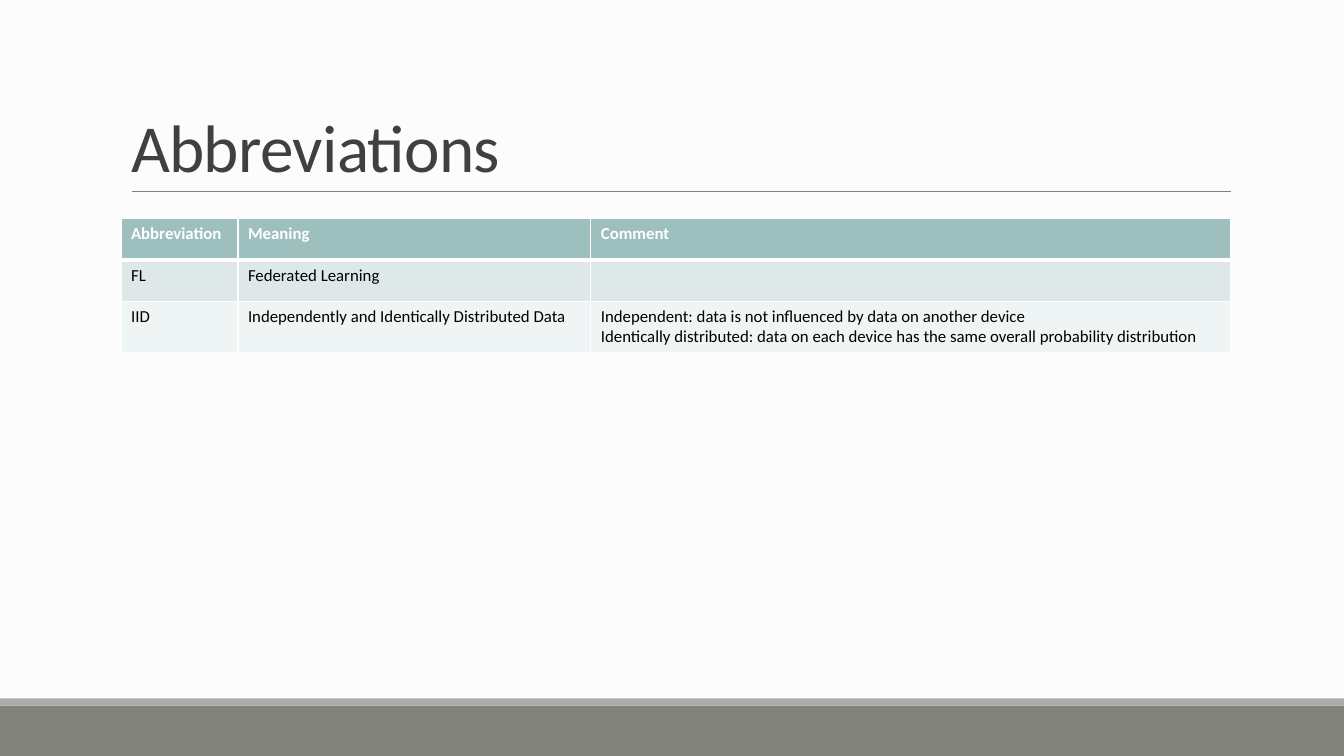
from dataclasses import dataclass

from lxml.etree import SubElement
from pptx import Presentation
from pptx.dml.color import RGBColor
from pptx.enum.shapes import MSO_CONNECTOR, MSO_SHAPE
from pptx.enum.text import MSO_ANCHOR, PP_ALIGN
from pptx.oxml import parse_xml
from pptx.oxml.ns import nsdecls, qn
from pptx.util import Inches, Pt


@dataclass(frozen=True)
class Theme:
    """Colours, font and type sizes of the slide."""
    font: str = "Calibri"
    title_size: float = 48
    table_size: float = 12
    background: str = "FCFCFC"
    band: str = "82847C"
    band_edge: str = "ACADA8"
    rule: str = "808080"
    title: str = "404040"
    header: str = "9DBFBE"
    rows: tuple = ("DFE8E8", "EFF4F4")
    text: str = "000000"
    white: str = "FFFFFF"


THEME = Theme()
COLUMN_WIDTHS = (1.16, 3.5, 6.35)
ROW_HEIGHT = 0.41
ENTRIES = (
    ("Abbreviation", "Meaning", "Comment"),
    ("FL", "Federated Learning", ""),
    ("IID", "Independently and Identically Distributed Data",
     "Independent: data is not influenced by data on another device\n"
     "Identically distributed: data on each device has the same overall probability distribution"),
)


def write_text(frame, text, *, size, color, bold=False, line_spacing=1.0, tracking=None):
    """Write each line of text as a formatted paragraph."""
    for index, line in enumerate(text.split("\n")):
        para = frame.add_paragraph() if index else frame.paragraphs[0]
        para.alignment = PP_ALIGN.LEFT
        para.line_spacing = line_spacing
        if not line:
            continue
        span = para.add_run()
        span.text = line
        span.font.name = THEME.font
        span.font.size = Pt(size)
        span.font.bold = bold
        span.font.color.rgb = RGBColor.from_string(color)
        if tracking is not None:
            span.font._element.set("spc", str(round(tracking * 100)))


def add_band(page, box, color):
    """Draw a plain filled band in the box."""
    band = page.shapes.add_shape(MSO_SHAPE.RECTANGLE, *map(Inches, box))
    band.shadow.inherit = False
    band.fill.solid()
    band.fill.fore_color.rgb = RGBColor.from_string(color)
    band.line.fill.background()


def add_footer(page, box):
    """Place the footer band with its lighter strip along the top."""
    left, top, width, height = box
    edge = 0.07
    add_band(page, (left, top + edge, width, height - edge), THEME.band)
    add_band(page, (left, top, width, edge), THEME.band_edge)


def add_title(page, box, text):
    """Place the title and the rule along the bottom of the box."""
    left, top, width, height = box
    title = page.shapes.title
    title.left, title.top, title.width, title.height = map(Inches, box)
    title.text_frame.vertical_anchor = MSO_ANCHOR.BOTTOM
    title.text_frame.word_wrap = True
    write_text(title.text_frame, text, size=THEME.title_size, color=THEME.title,
               line_spacing=0.85, tracking=-0.5)
    bottom = Inches(top + height)
    rule = page.shapes.add_connector(MSO_CONNECTOR.STRAIGHT, Inches(left + 0.11), bottom,
                                     Inches(left + width + 0.01), bottom)
    rule.line.color.rgb = RGBColor.from_string(THEME.rule)
    rule.line.width = Pt(0.5)
    SubElement(rule._element.spPr, qn("a:effectLst"))


def set_borders(cell, widths):
    """Give the left, right, top and bottom cell borders their widths in points."""
    properties = cell._tc.get_or_add_tcPr()
    for index, (side, width) in enumerate(zip("LRTB", widths)):
        properties.insert(index, parse_xml(
            f'<a:ln{side} {nsdecls("a")} w="{Pt(width)}"><a:solidFill>'
            f'<a:srgbClr val="{THEME.white}"/></a:solidFill></a:ln{side}>'))


def add_glossary(page, box, entries):
    """Place the table of abbreviations in the box."""
    table = page.shapes.add_table(len(entries), len(COLUMN_WIDTHS), *map(Inches, box)).table
    for column, width in zip(table.columns, COLUMN_WIDTHS):
        column.width = Inches(width)
    for row_index, entry in enumerate(entries):
        table.rows[row_index].height = Inches(ROW_HEIGHT)
        is_header = row_index == 0
        fill = THEME.header if is_header else THEME.rows[(row_index - 1) % 2]
        for cell, text in zip(table.rows[row_index].cells, entry):
            cell.fill.solid()
            cell.fill.fore_color.rgb = RGBColor.from_string(fill)
            set_borders(cell, (1, 1, 3 if row_index == 1 else 1, 3 if is_header else 1))
            write_text(cell.text_frame, text, size=THEME.table_size, bold=is_header,
                       color=THEME.white if is_header else THEME.text)


def build_glossary_slide(deck):
    """Build the slide that lists the abbreviations."""
    page = deck.slides.add_slide(deck.slide_layouts[5])
    page.background.fill.solid()
    page.background.fill.fore_color.rgb = RGBColor.from_string(THEME.background)
    add_footer(page, (0, 6.93, 13.33, 0.57))
    add_title(page, (1.2, 0.31, 11, 1.59), "Abbreviations")
    add_glossary(page, (1.2, 2.17, 11, ROW_HEIGHT * len(ENTRIES)), ENTRIES)


def main():
    """Create and save the deck."""
    deck = Presentation()
    deck.slide_width, deck.slide_height = Inches(13.33), Inches(7.5)
    build_glossary_slide(deck)
    deck.save("out.pptx")


if __name__ == "__main__":
    main()
